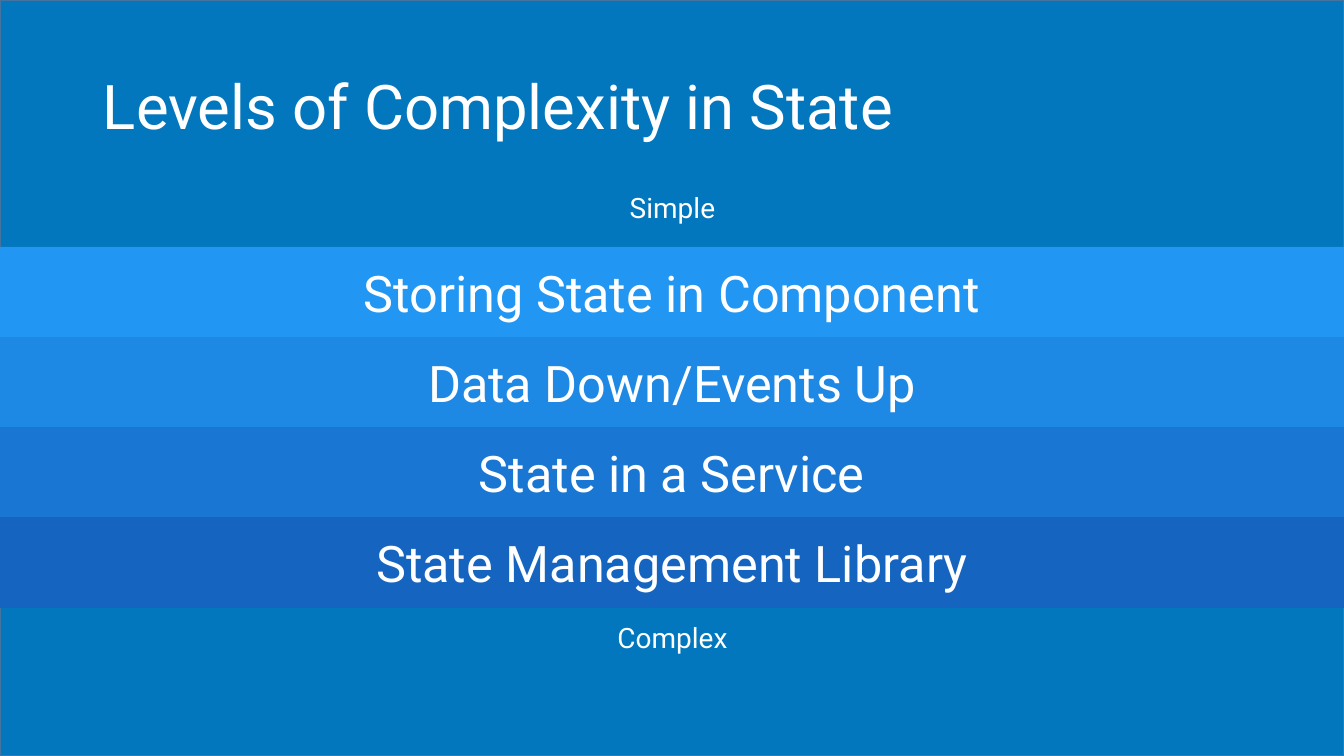
import pptx
import pptx.util
import pptx.dml.color
import pptx.enum.shapes
import pptx.enum.text

PX = 914400 / 100.8
ALIGN = pptx.enum.text.PP_ALIGN
ANCHOR = pptx.enum.text.MSO_ANCHOR


def rgb(value):
    return pptx.dml.color.RGBColor.from_string(value)


def add_box(s, box, text, size, fill=None, line=None, align=ALIGN.CENTER, anchor=ANCHOR.MIDDLE, spacing=1.0):
    area = [round(v * PX) for v in box]
    if fill:
        sp = s.shapes.add_shape(pptx.enum.shapes.MSO_SHAPE.RECTANGLE, *area)
        sp.shadow.inherit = False
        sp.fill.solid()
        sp.fill.fore_color.rgb = rgb(fill)
        if line:
            sp.line.color.rgb = rgb(line)
            sp.line.width = pptx.util.Pt(1)
        else:
            sp.line.fill.background()
    else:
        sp = s.shapes.add_textbox(*area)
    if not text:
        return
    tf = sp.text_frame
    tf.word_wrap = True
    tf.vertical_anchor = anchor
    p = tf.paragraphs[0]
    p.alignment = align
    p.line_spacing = spacing
    r = p.add_run()
    r.text = text
    for name, value in {"name": "Roboto", "size": pptx.util.Pt(size)}.items():
        setattr(r.font, name, value)
    r.font.color.rgb = rgb("FFFFFF")


prs = pptx.Presentation()
prs.slide_width = round(1344 * PX)
prs.slide_height = round(756 * PX)
s = prs.slides.add_slide(prs.slide_layouts[6])

add_box(s, (0, 0, 1344, 756), "", 0, fill="0277BD", line="43739E")

levels = [
    ("Storing State in Component", "2196F3"),
    ("Data Down/Events Up", "1E88E5"),
    ("State in a Service", "1976D2"),
    ("State Management Library", "1565C0"),
]
for i, (text, fill) in enumerate(levels):
    add_box(s, (0, 247 + 90 * i, 1344, 91), text, 36, fill=fill)

add_box(s, (93, 67, 1159, 85), "Levels of Complexity in State", 44, align=ALIGN.LEFT, spacing=0.9)
for text, top in [("Simple", 189), ("Complex", 619)]:
    add_box(s, (93, top, 1159, 34), text, 20, anchor=ANCHOR.TOP, spacing=0.9)

prs.save("out.pptx")
